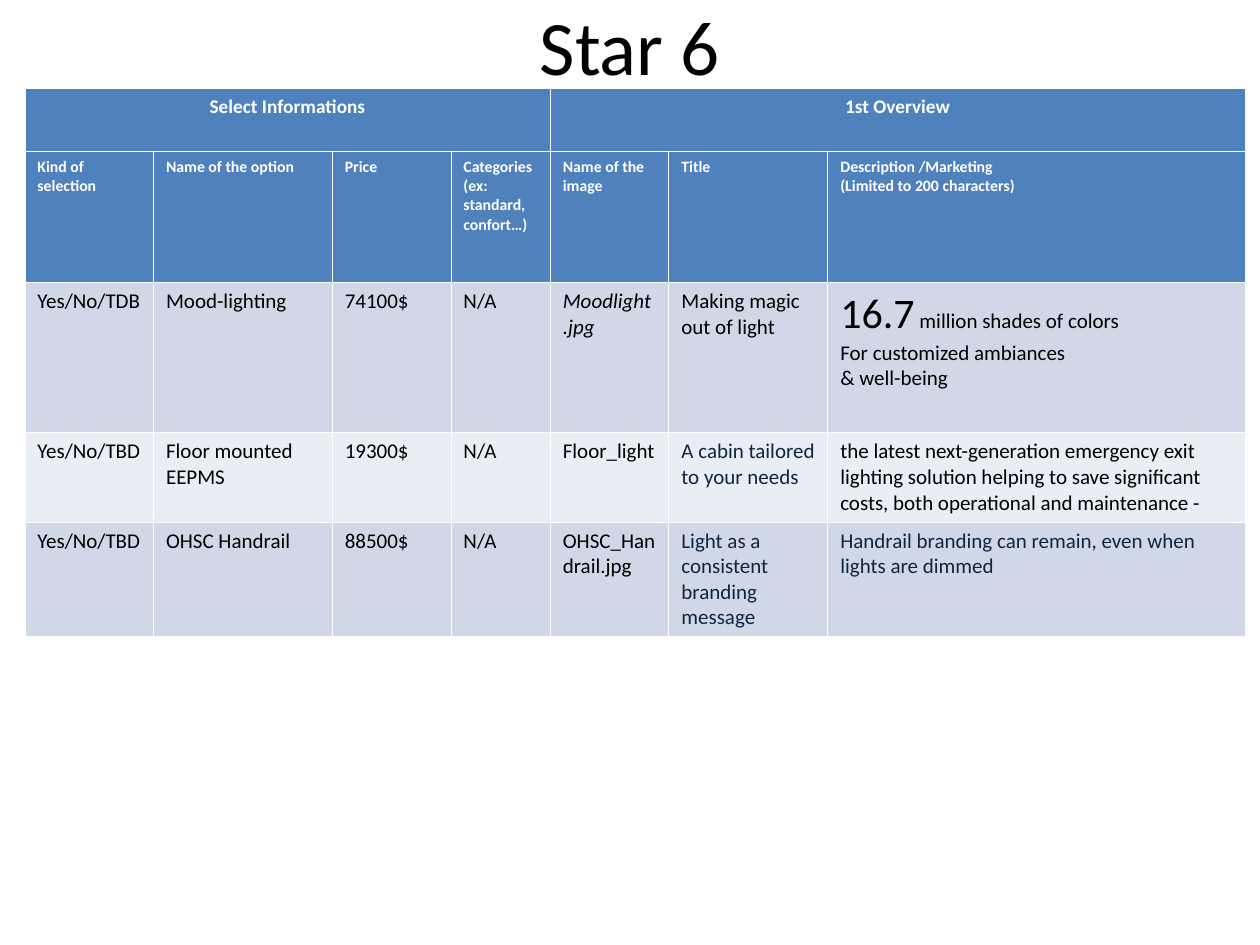
import lxml.etree
import pptx
import pptx.dml.color
import pptx.enum.text
import pptx.oxml.ns
import pptx.util

Pt = pptx.util.Pt
RGBColor = pptx.dml.color.RGBColor
Align = pptx.enum.text.PP_ALIGN

WHITE = RGBColor(0xFF, 0xFF, 0xFF)
BLACK = RGBColor(0x00, 0x00, 0x00)
NAVY = RGBColor(0x10, 0x25, 0x3F)
HEADER_BLUE = RGBColor(0x4F, 0x81, 0xBD)
BAND_DARK = RGBColor(0xD0, 0xD8, 0xE8)
BAND_LIGHT = RGBColor(0xE9, 0xED, 0xF4)

FONT = "Calibri"
COLUMN_WIDTHS = [73.5, 102.2, 67.8, 56.8, 67.8, 90.8, 238.5]
ROW_HEIGHTS = [35.8, 75, 85.8, 51, 65.4]

GROUPS = [("Select Informations", 0, 3), ("1st Overview", 4, 6)]
HEADINGS = [
    "Kind of selection",
    "Name of the option",
    "Price",
    "Categories (ex: standard, confort…)",
    "Name of the image",
    "Title",
    "Description /Marketing\n(Limited to 200 characters)",
]
OPTIONS = [
    ["Yes/No/TDB", "Mood-lighting", "74100$", "N/A", "Moodlight.jpg",
     "Making magic out of light",
     "16.7| million shades of colors\nFor customized ambiances\n& well-being"],
    ["Yes/No/TBD", "Floor mounted EEPMS", "19300$", "N/A", "Floor_light",
     "A cabin tailored to your needs",
     "the latest next-generation emergency exit lighting solution helping "
     "to save significant costs, both operational and maintenance -"],
    ["Yes/No/TBD", "OHSC Handrail", "88500$", "N/A", "OHSC_Handrail.jpg",
     "Light as a consistent branding message",
     "Handrail branding can remain, even when lights are dimmed"],
]
NAVY_TEXTS = {OPTIONS[1][5], OPTIONS[2][5], OPTIONS[2][6]}
ITALIC_TEXTS = {"Moodlight.jpg"}
RUN_SIZES = {"16.7": 24}


def write_text(frame, text, size, color, bold=False, align=Align.LEFT):
    """Fill a frame; newlines part paragraphs and bars part runs."""
    for index, line in enumerate(text.split("\n")):
        paragraph = frame.paragraphs[0] if index == 0 else frame.add_paragraph()
        paragraph.alignment = align
        for piece in line.split("|"):
            run = paragraph.add_run()
            run.text = piece
            run.font.name = FONT
            run.font.size = Pt(RUN_SIZES.get(piece, size))
            run.font.bold = bold
            run.font.italic = piece in ITALIC_TEXTS
            run.font.color.rgb = color


def style_cell(cell, fill):
    """Give a cell thin white borders and a solid fill."""
    properties = cell._tc.get_or_add_tcPr()
    qn = pptx.oxml.ns.qn
    for side in ("a:lnL", "a:lnR", "a:lnT", "a:lnB"):
        line = lxml.etree.SubElement(properties, qn(side), w=str(Pt(0.45)))
        solid = lxml.etree.SubElement(line, qn("a:solidFill"))
        lxml.etree.SubElement(solid, qn("a:srgbClr"), val=str(WHITE))
    cell.fill.solid()
    cell.fill.fore_color.rgb = fill


def add_title(slide, text):
    """Place the centred slide title."""
    title = slide.shapes.add_textbox(Pt(36), Pt(-19.4), Pt(648), Pt(90))
    frame = title.text_frame
    frame.word_wrap = True
    frame.vertical_anchor = pptx.enum.text.MSO_ANCHOR.MIDDLE
    write_text(frame, text, 44, BLACK, align=Align.CENTER)


def add_option_table(slide):
    """Build the options table with its two header rows."""
    table = slide.shapes.add_table(
        len(ROW_HEIGHTS), len(COLUMN_WIDTHS), Pt(14.2), Pt(50.7),
        Pt(sum(COLUMN_WIDTHS)), Pt(sum(ROW_HEIGHTS))).table
    table.first_row = False
    table.horz_banding = False
    for column, width in zip(table.columns, COLUMN_WIDTHS):
        column.width = Pt(width)
    fills = [HEADER_BLUE, HEADER_BLUE, BAND_DARK, BAND_LIGHT, BAND_DARK]
    for row, height, fill in zip(table.rows, ROW_HEIGHTS, fills):
        row.height = Pt(height)
        for cell in row.cells:
            style_cell(cell, fill)

    for text, first, last in GROUPS:
        group = table.cell(0, first)
        group.merge(table.cell(0, last))
        write_text(group.text_frame, text, 11, WHITE, True, Align.CENTER)
    for column, text in enumerate(HEADINGS):
        write_text(table.cell(1, column).text_frame, text, 9, WHITE, True)
    for row, option in enumerate(OPTIONS, start=2):
        for column, text in enumerate(option):
            color = NAVY if text in NAVY_TEXTS else BLACK
            write_text(table.cell(row, column).text_frame, text, 12, color)


def main():
    """Create the slide and save it."""
    deck = pptx.Presentation()
    deck.slide_width, deck.slide_height = Pt(720), Pt(540)
    slide = deck.slides.add_slide(deck.slide_layouts[6])
    add_title(slide, "Star 6")
    add_option_table(slide)
    deck.save("out.pptx")


if __name__ == "__main__":
    main()
